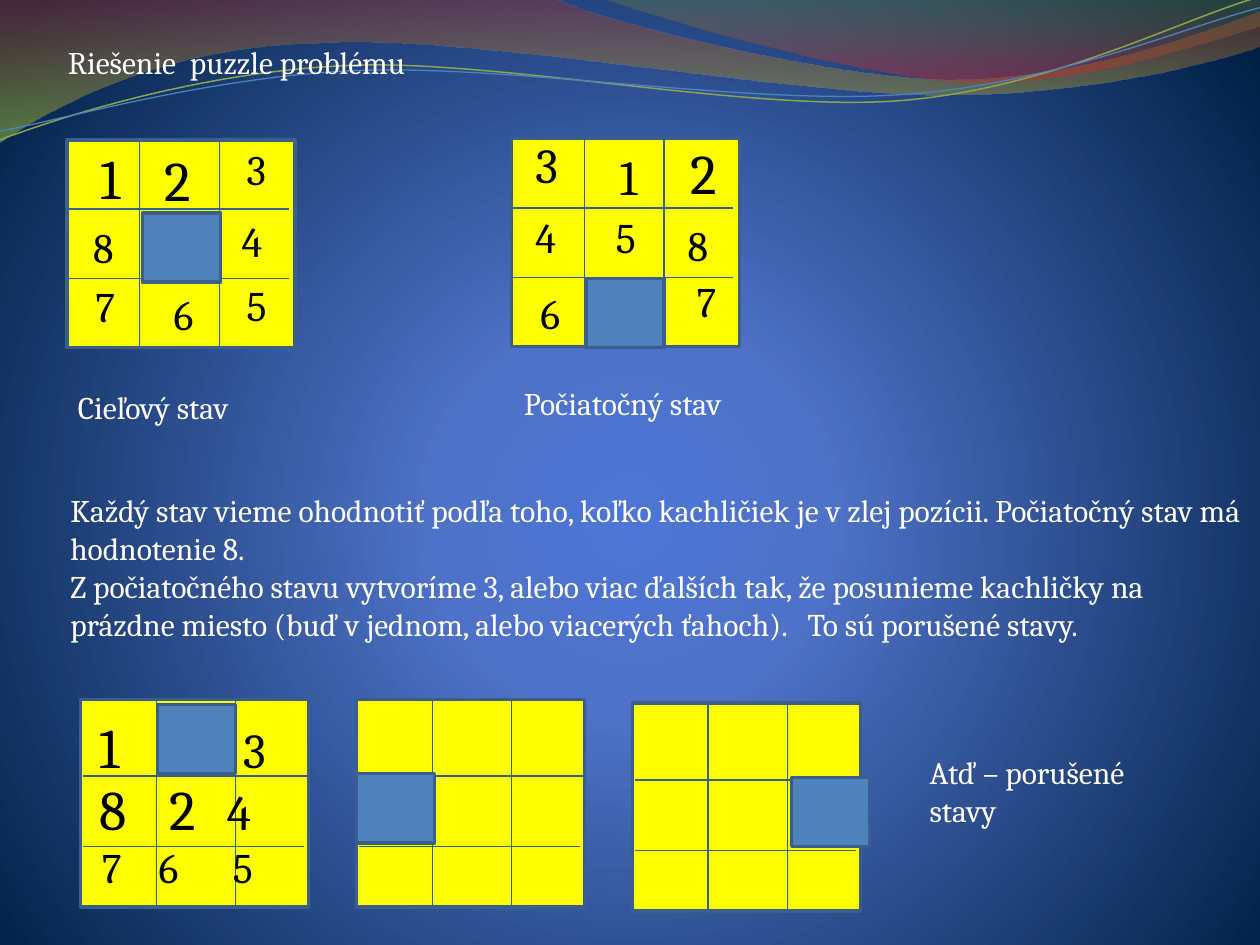
import math
from dataclasses import dataclass

from lxml import etree
from pptx import Presentation
from pptx.dml.color import RGBColor
from pptx.enum import shapes, text
from pptx.oxml import ns
from pptx import util as u
from pptx.util import Inches

COLORS = {
    "white": "FFFFFF", "black": "000000", "board": "FFFF00", "blank": "4F81BD",
    "border": "3A5F8C", "grid": "395F8D", "green_wave": "89A54F", "blue_wave": "4F81BD",
}
FONT = "Cambria"
BOARD_SIZE = (1.81, 1.65)
BLANK_SIZE = (0.62, 0.55)
TEXT_HEIGHTS = {18: 0.4, 24: 0.5, 28: 0.57, 32: 0.64}


@dataclass
class Grid:
    """Offsets of the dividing lines; each row is (offset, start, end)."""
    columns: tuple
    rows: tuple


@dataclass
class Board:
    left: float
    top: float
    grid: Grid
    blank: tuple
    digits: tuple = ()


@dataclass
class Label:
    """Text box; each paragraph is a list of (text, size) runs."""
    left: float
    top: float
    width: float
    paragraphs: list
    height: float = 0.4
    color: str = "white"
    tabs: tuple = ()
    first_number: int = 0


@dataclass
class Band:
    """Curved outline in a frame; six numbers make a Bézier segment, two a straight one."""
    frame: tuple
    start: tuple
    segments: tuple
    stops: tuple = ()
    line: str = ""
    width: float = 0
    rotation: float = 0


FULL_GRID = Grid((0.58, 1.21), ((0.55, 0, 1.76), (1.1, 0, 1.76)))
MOVED_GRID = Grid((0.6, 1.23), ((0.61, 0.02, 1.81), (1.17, 0.02, 1.77)))

BANDS = (
    Band((-0.01, -0.01, 10.02, 1.14), (0, 0), (
        (4.4, -0.01), (4.76, 0.17, 6.64, 0.63, 7.58, 0.63),
        (8.53, 0.63, 9.58, 0.26, 10, 0.09), (10.01, 0.36),
        (9.83, 0.44, 8.7, 0.76, 7.46, 0.75), (6.22, 0.75, 3.82, 0.28, 2.57, 0.34),
        (1.29, 0.36, 0.46, 0.83, -0.01, 1.13), (0, 0)),
        ((0, "973330", 45), (100, "95C238", 55))),
    Band((4.79, -0.01, 5.21, 0.7), (4.79, -0.01), (
        (5.09, 0.11, 6.82, 0.62, 7.69, 0.65), (8.56, 0.69, 9.61, 0.32, 10, 0.21),
        (10, 0), (4.79, -0.01)),
        ((0, "769537", 30), (80, "BE3330", 45))),
    Band((-0.02, 0.22, 10.02, 0.71), (0, 1.11), (
        (0.48, 0.93, 1.58, 0.57, 2.77, 0.52), (3.95, 0.47, 5.93, 0.89, 7.13, 0.8),
        (8.33, 0.71, 9.38, 0.15, 9.98, -0.02)),
        line="green_wave", width=0.85, rotation=357.3),
    Band((-0.02, 0.3, 10.03, 0.58), (0, 1.04), (
        (0.47, 0.96, 1.64, 0.61, 2.83, 0.56), (4.03, 0.51, 5.97, 0.84, 7.17, 0.75),
        (8.36, 0.67, 9.41, 0.21, 10, 0.06)),
        line="blue_wave", width=0.75, rotation=357.3),
)

# Digits are (text, left, top, size) on the slide.
BOARDS = (
    Board(0.53, 1.11, FULL_GRID, (1.13, 1.69), (
        ("1", 0.7, 1.09, 32), ("2", 1.21, 1.11, 32), ("4", 1.82, 1.66, 24),
        ("3", 1.86, 1.09, 24), ("6", 1.28, 2.24, 24), ("5", 1.86, 2.17, 24),
        ("7", 0.66, 2.18, 24), ("8", 0.64, 1.71, 24))),
    Board(4.06, 1.1, FULL_GRID, (4.65, 2.21), (
        ("3", 4.15, 1.02, 28), ("2", 5.38, 1.05, 32), ("4", 4.15, 1.63, 24),
        ("1", 4.82, 1.11, 28), ("6", 4.19, 2.23, 24), ("5", 4.79, 1.63, 24),
        ("7", 5.43, 2.14, 24), ("8", 5.36, 1.69, 24))),
    Board(0.64, 5.55, MOVED_GRID, (1.25, 5.59)),
    Board(2.83, 5.55, MOVED_GRID, (2.83, 6.14)),
    Board(5.02, 5.58, MOVED_GRID, (6.28, 6.17)),
)

LABELS = (
    Label(0.44, 0.29, 8.5, [[("Riešenie  puzzle problému", 18)]]),
    Label(0.52, 3.03, 2.6, [[("Cieľový stav", 18)]]),
    Label(4.06, 3, 2.05, [[("Počiatočný stav", 18)]]),
    Label(0.46, 3.85, 9.54, [
        [("Každý stav vieme ohodnotiť podľa toho, koľko kachličiek je v zlej pozícii. "
          "Počiatočný stav má hodnotenie 8.", 18)],
        [("Z počiatočného stavu vytvoríme 3, alebo viac ďalších tak, že posunieme kachličky na "
          "prázdne miesto (buď v jednom, alebo viacerých ťahoch).   To sú porušené stavy.", 18)],
    ], height=1.31),
    Label(0.69, 5.61, 1.65, [[("1\t", 32), ("3", 28)]], 0.64, "black", (1.14,)),
    Label(0.69, 6.1, 1.77, [[("2\t", 32), ("4", 28)]], 1.11, "black", (0.51, 1.07), 8),
    Label(0.71, 6.63, 1.65, [[("7\t6\t5", 24)]], 0.5, "black", (0.45, 1.04)),
    Label(7.28, 5.93, 2.28, [[("Atď – porušené stavy", 18)]], height=0.71),
)


def rgb(name: str) -> RGBColor:
    return RGBColor.from_string(COLORS[name])


def set_gradient(fill, element, stops: tuple, direction: str) -> None:
    """Fill with (position, colour, opacity) stops along a direction given as XML."""
    fill.gradient()
    gradient = element.find(".//" + ns.qn("a:gradFill"))
    stop_xml = "".join(
        f'<a:gs pos="{position * 1000}"><a:srgbClr val="{color}">'
        f'<a:alpha val="{opacity * 1000}"/></a:srgbClr></a:gs>'
        for position, color, opacity in stops)
    gradient.getparent().replace(gradient, etree.fromstring(
        f'<a:gradFill {ns.nsdecls("a")} rotWithShape="1"><a:gsLst>{stop_xml}</a:gsLst>'
        f'{direction}</a:gradFill>'))


def frame_point(band: Band, x: float, y: float) -> tuple:
    """Slide point as EMU inside the frame, before the frame is rotated."""
    left, top, width, height = band.frame
    angle = math.radians(-band.rotation)
    dx, dy = x - left - width / 2, y - top - height / 2
    return (Inches(width / 2 + dx * math.cos(angle) - dy * math.sin(angle)),
            Inches(height / 2 + dx * math.sin(angle) + dy * math.cos(angle)))


def draw_band(slide, band: Band) -> None:
    builder = slide.shapes.build_freeform(*map(Inches, band.start))
    builder.add_line_segments([tuple(map(Inches, segment[-2:])) for segment in band.segments],
                              close=bool(band.stops))
    shape = builder.convert_to_shape()
    shape.left, shape.top, shape.width, shape.height = map(Inches, band.frame)
    shape.rotation = band.rotation
    outline = shape._element.find(".//" + ns.qn("a:path"))
    outline.clear()
    outline.set("w", str(shape.width))
    outline.set("h", str(shape.height))
    for index, segment in enumerate((band.start, *band.segments)):
        kind = "a:moveTo" if index == 0 else "a:lnTo" if len(segment) == 2 else "a:cubicBezTo"
        step = etree.SubElement(outline, ns.qn(kind))
        for pair in zip(segment[::2], segment[1::2]):
            x, y = frame_point(band, *pair)
            etree.SubElement(step, ns.qn("a:pt"), x=str(x), y=str(y))
    shape.shadow.inherit = False
    if band.stops:
        etree.SubElement(outline, ns.qn("a:close"))
        set_gradient(shape.fill, shape._element, band.stops, '<a:lin ang="5400000" scaled="0"/>')
        shape.line.fill.background()
    else:
        shape.fill.background()
        shape.line.color.rgb = rgb(band.line)
        shape.line.width = u.Pt(band.width)


def draw_tile(slide, left: float, top: float, size: tuple, color: str) -> None:
    shape = slide.shapes.add_shape(shapes.MSO_SHAPE.RECTANGLE,
                                   *map(Inches, (left, top, *size)))
    shape.shadow.inherit = False
    shape.fill.solid()
    shape.fill.fore_color.rgb = rgb(color)
    shape.line.color.rgb = rgb("border")
    shape.line.width = u.Pt(2)


def draw_line(slide, *ends: float) -> None:
    line = slide.shapes.add_connector(shapes.MSO_CONNECTOR.STRAIGHT, *map(Inches, ends))
    line.line.color.rgb = rgb("grid")
    line.line.width = u.Pt(0.75)
    etree.SubElement(line._element.spPr, ns.qn("a:effectLst"))


def format_paragraph(paragraph, label: Label) -> None:
    properties = paragraph._p.get_or_add_pPr()
    if label.first_number:
        properties.set("marL", str(Inches(0.56)))
        properties.set("indent", str(Inches(-0.56)))
        etree.SubElement(properties, ns.qn("a:buAutoNum"), type="arabicPlain",
                         startAt=str(label.first_number))
    if label.tabs:
        tab_list = etree.SubElement(properties, ns.qn("a:tabLst"))
        for position in label.tabs:
            etree.SubElement(tab_list, ns.qn("a:tab"), pos=str(Inches(position)), algn="l")


def draw_label(slide, label: Label) -> None:
    box = slide.shapes.add_textbox(*map(Inches, (label.left, label.top, label.width, label.height)))
    frame = box.text_frame
    frame.word_wrap = True
    frame.auto_size = text.MSO_AUTO_SIZE.SHAPE_TO_FIT_TEXT
    for index, runs in enumerate(label.paragraphs):
        paragraph = frame.add_paragraph() if index else frame.paragraphs[0]
        format_paragraph(paragraph, label)
        for words, size in runs:
            run = paragraph.add_run()
            run.text = words
            run.font.name = FONT
            run.font.size = u.Pt(size)
            run.font.color.rgb = rgb(label.color)


def draw_board(slide, board: Board) -> None:
    left, top = board.left, board.top
    draw_tile(slide, left, top, BOARD_SIZE, "board")
    for column in board.grid.columns:
        draw_line(slide, left + column, top, left + column, top + BOARD_SIZE[1])
    for row, start, end in board.grid.rows:
        draw_line(slide, left + end, top + row, left + start, top + row)
    for digit, x, y, size in board.digits:
        draw_label(slide, Label(x, y, 0.47, [[(digit, size)]], TEXT_HEIGHTS[size], "black"))
    draw_tile(slide, *board.blank, BLANK_SIZE, "blank")


def main() -> None:
    presentation = Presentation()
    presentation.slide_width, presentation.slide_height = Inches(10), Inches(7.5)
    slide = presentation.slides.add_slide(presentation.slide_layouts[6])
    set_gradient(slide.background.fill, slide._element,
                 ((0, "4D75D6", 100), (25, "4E72C7", 100), (100, "001F44", 100)),
                 '<a:path path="circle"><a:fillToRect l="10000" t="110000" r="10000" '
                 'b="100000"/></a:path>')
    for band in BANDS:
        draw_band(slide, band)
    for board in BOARDS:
        draw_board(slide, board)
    for label in LABELS:
        draw_label(slide, label)
    presentation.save("out.pptx")


if __name__ == "__main__":
    main()
